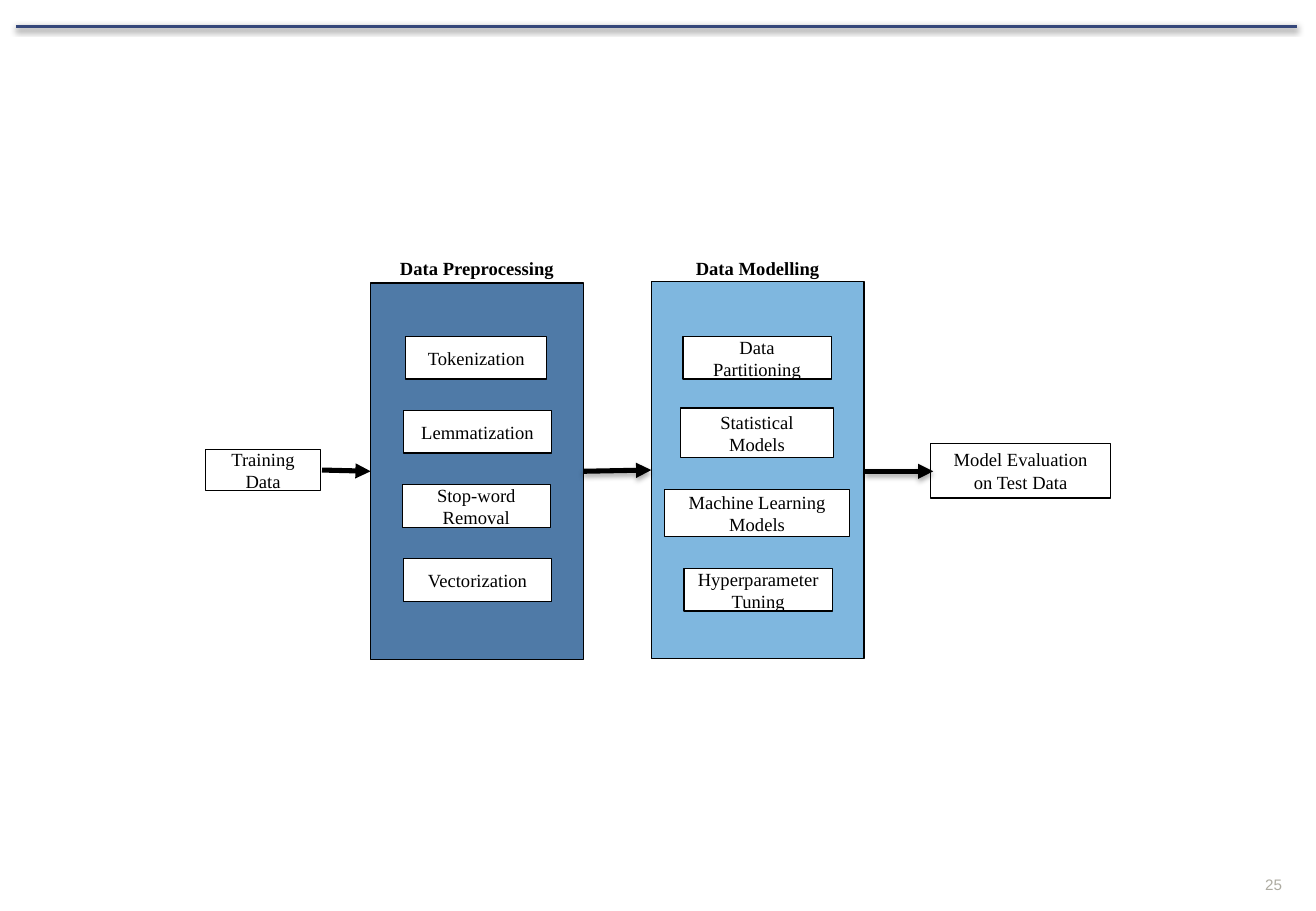
from dataclasses import dataclass
from typing import Optional

from lxml.etree import SubElement
from pptx import Presentation
from pptx.dml.color import RGBColor
from pptx.enum.shapes import MSO_CONNECTOR as Connector, MSO_SHAPE as Preset
from pptx.enum.text import MSO_ANCHOR as Anchor, PP_ALIGN as Align
from pptx.oxml.ns import qn
from pptx.util import Inches, Pt

BLACK = RGBColor(0x00, 0x00, 0x00)
WHITE = RGBColor(0xFF, 0xFF, 0xFF)
NAVY = RGBColor(0x35, 0x47, 0x7A)
STEEL = RGBColor(0x4F, 0x7A, 0xA7)
SKY = RGBColor(0x00, 0x70, 0xC0)
GREY = RGBColor(0xAD, 0xAB, 0xA1)
SERIF = "Times New Roman"
PANEL_WIDTH, PANEL_HEIGHT = 1.75, 3.1
HEADING_TOP, HEADING_HEIGHT = 2.07, 0.29
STEP_TOP, STEP_PITCH, STEP_HEIGHT = 2.77, 0.61, 0.35


@dataclass
class Panel:
    heading: str
    left: float
    top: float
    color: RGBColor
    opacity: int = 100


@dataclass
class Step:
    label: str
    left: float
    top: float
    width: float
    height: float = STEP_HEIGHT


@dataclass
class Shadow:
    opacity: int
    blur: float
    distance: float
    angle: int


@dataclass
class Line:
    start: tuple[float, float]
    end: tuple[float, float]
    color: RGBColor = BLACK
    weight: float = 3
    arrow: bool = True
    shadow: Optional[Shadow] = None


SOFT = Shadow(35, 3.1, 1.8, 90)
PANELS = [
    Panel("Data Preprocessing", 3.05, 2.33, STEEL),
    Panel("Data Modelling", 5.36, 2.32, SKY, 50),
]
PREPROCESSING = [
    ("Tokenization", 3.34, 1.16),
    ("Lemmatization", 3.32, 1.22),
    ("Stop-word Removal", 3.31, 1.22),
    ("Vectorization", 3.32, 1.22),
]
STEPS = [
    Step(label, left, STEP_TOP + row * STEP_PITCH, width)
    for row, (label, left, width) in enumerate(PREPROCESSING)
] + [
    Step("Data Partitioning", 5.62, STEP_TOP, 1.22),
    Step("Statistical Models", 5.6, 3.36, 1.26, 0.41),
    Step("Machine Learning Models", 5.47, 4.03, 1.52, 0.39),
    Step("Hyperparameter Tuning", 5.63, 4.68, 1.22),
    Step("Training Data", 1.69, 3.7, 0.95, 0.34),
    Step("Model Evaluation on Test Data", 7.66, 3.65, 1.48, 0.45),
]
LINES = [
    Line((0.13, 0.22), (10.67, 0.22), NAVY, 1.75, False, Shadow(40, 4, 1, 88)),
    Line((2.65, 3.87), (3.05, 3.88)),
    Line((4.8, 3.88), (5.36, 3.87), shadow=SOFT),
    Line((7.12, 3.88), (7.68, 3.88), shadow=SOFT),
]


def add_alpha(color_element, opacity: int) -> None:
    SubElement(color_element, qn("a:alpha"), val=str(opacity * 1000))


def write(shape, text: str, size: float = 11, font: str = SERIF,
          color: RGBColor = BLACK, bold: bool = False, align=Align.CENTER) -> None:
    shape.text_frame.text = text
    para = shape.text_frame.paragraphs[0]
    para.alignment = align
    para.font.size = Pt(size)
    para.font.name = font
    para.font.bold = bold
    para.font.color.rgb = color


def draw_box(page, left: float, top: float, width: float, height: float, fill: RGBColor):
    box = page.shapes.add_shape(
        Preset.RECTANGLE, Inches(left), Inches(top), Inches(width), Inches(height))
    box.shadow.inherit = False
    box.fill.solid()
    box.fill.fore_color.rgb = fill
    box.line.color.rgb = BLACK
    box.line.width = Pt(0.75)
    return box


def draw_panel(page, panel: Panel) -> None:
    box = draw_box(page, panel.left, panel.top, PANEL_WIDTH, PANEL_HEIGHT, panel.color)
    if panel.opacity < 100:
        fill = box.element.spPr.find(qn("a:solidFill"))
        add_alpha(fill.find(qn("a:srgbClr")), panel.opacity)
    heading = page.shapes.add_textbox(
        Inches(panel.left), Inches(HEADING_TOP), Inches(PANEL_WIDTH), Inches(HEADING_HEIGHT))
    heading.text_frame.word_wrap = True
    write(heading, panel.heading, bold=True)


def draw_step(page, step: Step) -> None:
    box = draw_box(page, step.left, step.top, step.width, step.height, WHITE)
    box.text_frame.word_wrap = True
    box.text_frame.vertical_anchor = Anchor.MIDDLE
    write(box, step.label)


def draw_line(page, line: Line) -> None:
    connector = page.shapes.add_connector(
        Connector.STRAIGHT, *(Inches(value) for value in line.start + line.end))
    connector.line.color.rgb = line.color
    connector.line.width = Pt(line.weight)
    if line.arrow:
        SubElement(connector.line._get_or_add_ln(), qn("a:tailEnd"), type="triangle")
    effects = SubElement(connector.element.spPr, qn("a:effectLst"))
    if line.shadow:
        outer = SubElement(
            effects, qn("a:outerShdw"), blurRad=str(Pt(line.shadow.blur)),
            dist=str(Pt(line.shadow.distance)), dir=str(line.shadow.angle * 60000),
            rotWithShape="0")
        add_alpha(SubElement(outer, qn("a:srgbClr"), val=str(BLACK)), line.shadow.opacity)


def draw_page_number(page, number: str) -> None:
    box = page.shapes.add_textbox(Inches(10.24), Inches(7.21), Inches(0.31), Inches(0.15))
    frame = box.text_frame
    frame.margin_left = frame.margin_right = frame.margin_top = frame.margin_bottom = 0
    frame.word_wrap = True
    frame.vertical_anchor = Anchor.BOTTOM
    write(box, number, 9, "Arial", GREY, align=Align.RIGHT)


def main() -> None:
    deck = Presentation()
    deck.slide_width, deck.slide_height = Inches(10.83), Inches(7.5)
    page = deck.slides.add_slide(deck.slide_layouts[6])
    for panel in PANELS:
        draw_panel(page, panel)
    for step in STEPS:
        draw_step(page, step)
    for line in LINES:
        draw_line(page, line)
    draw_page_number(page, "25")
    deck.save("out.pptx")


if __name__ == "__main__":
    main()
